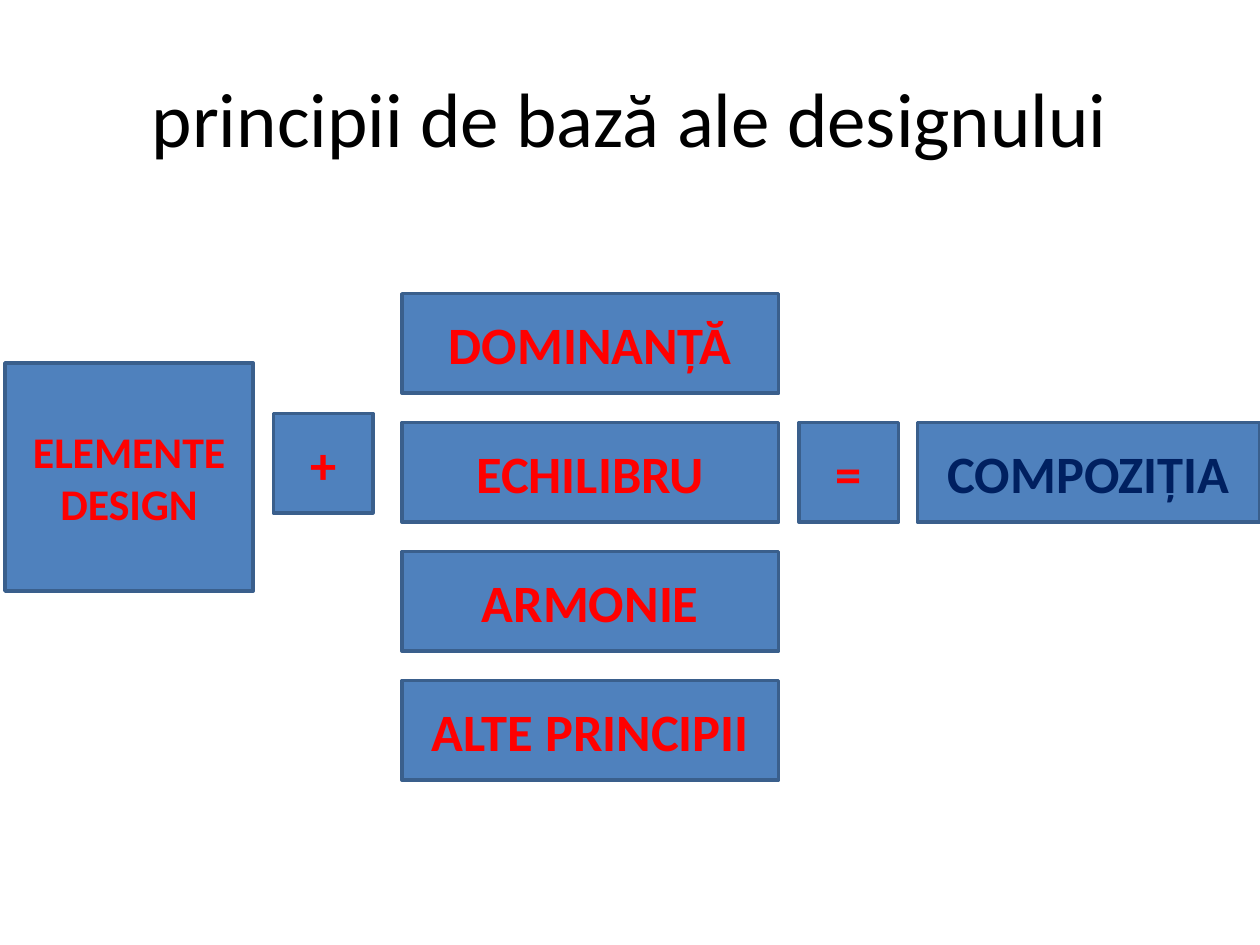
from dataclasses import dataclass

from pptx import Presentation
from pptx.dml.color import RGBColor
from pptx.enum.shapes import MSO_SHAPE
from pptx.enum.text import MSO_ANCHOR, PP_ALIGN
from pptx.util import Pt


@dataclass(frozen=True)
class Theme:
    font: str = "Calibri"
    black: str = "000000"
    fill: str = "4F81BD"
    edge: str = "3A5F8C"
    red: str = "FF0000"
    navy: str = "002060"
    title: int = 44
    label: int = 30
    small: int = 25
    line: int = 2


THEME = Theme()


def rgb(code):
    return RGBColor.from_string(code)


def write(frame, text, size, color, bold):
    frame.text = text
    frame.word_wrap = True
    frame.vertical_anchor = MSO_ANCHOR.MIDDLE
    para = frame.paragraphs[0]
    para.alignment = PP_ALIGN.CENTER
    font = para.font
    font.name, font.size, font.bold = THEME.font, Pt(size), bold
    font.color.rgb = rgb(color)


def add_title(slide, box, text):
    title = slide.shapes.title
    title.left, title.top, title.width, title.height = map(Pt, box)
    write(title.text_frame, text, THEME.title, THEME.black, False)


def add_block(slide, box, text, size=THEME.label, color=THEME.red):
    block = slide.shapes.add_shape(MSO_SHAPE.RECTANGLE, *map(Pt, box))
    block.shadow.inherit = False
    block.fill.solid()
    block.fill.fore_color.rgb = rgb(THEME.fill)
    block.line.color.rgb = rgb(THEME.edge)
    block.line.width = Pt(THEME.line)
    write(block.text_frame, text, size, color, True)


def add_formula(slide, box, start, terms, result):
    """Draw start + stacked terms = result inside the box."""
    left, top, width, height = box
    side = 56.9
    pitch = (height - side) / (len(terms) - 1)
    row = top + pitch
    stack, last = left + 226.8, 195.8

    add_block(slide, (left, top + 39.6, 141.8, 130.3), start, THEME.small)
    add_block(slide, (left + 153.3, top + 68.4, side, side), "+")
    for i, term in enumerate(terms):
        add_block(slide, (stack, top + i * pitch, 215.3, side), term)
    add_block(slide, (left + 453.6, row, side, side), "=")
    add_block(slide, (left + width - last, row, last, side), result,
              color=THEME.navy)


def main():
    deck = Presentation()
    deck.slide_width, deck.slide_height = Pt(720), Pt(540)
    slide = deck.slides.add_slide(deck.slide_layouts[5])
    add_title(slide, (36, 21.6, 648, 90), "principii de bază ale designului")
    add_formula(
        slide, (2.9, 167.8, 717.1, 278),
        "ELEMENTE DESIGN",
        ["DOMINANȚĂ", "ECHILIBRU", "ARMONIE", "ALTE PRINCIPII"],
        "COMPOZIȚIA",
    )
    deck.save("out.pptx")


if __name__ == "__main__":
    main()
